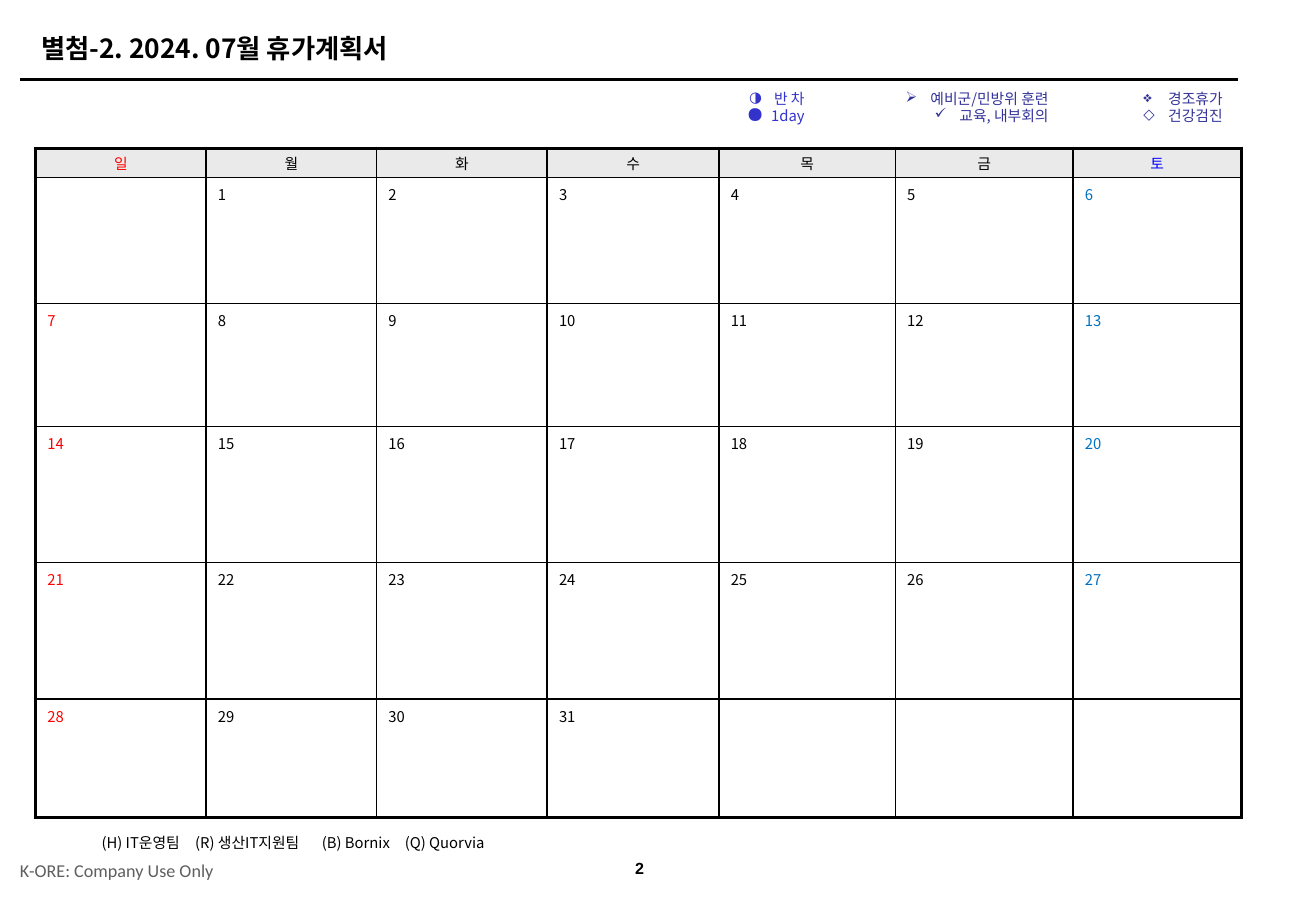
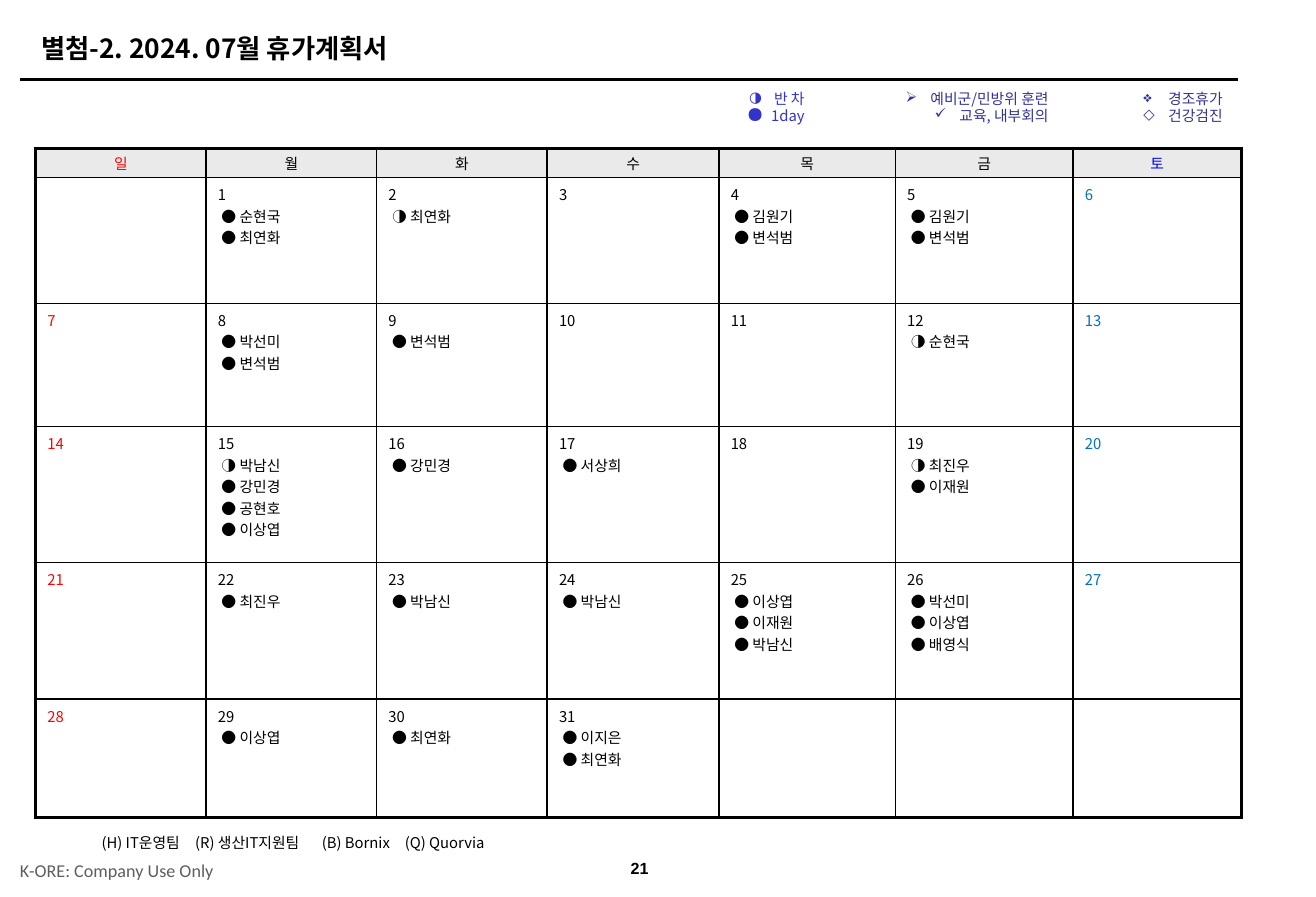
from lxml.etree import SubElement
from pptx import Presentation
from pptx.dml.color import RGBColor
from pptx.enum.shapes import MSO_CONNECTOR
from pptx.enum.text import MSO_ANCHOR, MSO_AUTO_SIZE, PP_ALIGN
from pptx.oxml import parse_xml
from pptx.oxml.ns import nsdecls, qn
from pptx.util import Inches, Pt

KOREAN = "Noto Sans CJK KR"
BLACK, RED, BLUE, GREY = "000000", "FF0000", "0070C0", "5F5F5F"
HEADER_FILL, HEADER_BLUE = "EAEAEA", "0000FF"

TITLE = "별첨-2. 2024. 07월 휴가계획서"
WEEKDAYS = "일월화수목금토"
COL_WIDTHS = [1.44, 1.44, 1.44, 1.45, 1.49, 1.5, 1.42]
ROW_HEIGHTS = [0.25, 1.06, 1.04, 1.15, 1.15, 1]
LAST_DAY = 31  # the month starts on a Monday, so day 0 is the empty Sunday

# left, width, colour, (bullet, bullet size in %, text)
LEGENDS = [
    (6.17, 0.72, "3333CC", [("◑", 100, "반 차"), ("●", 150, "1day")]),
    (7.41, 1.54, "333399", [("➢", 100, "예비군/민방위 훈련"), ("✓", 100, "교육, 내부회의")]),
    (8.59, 1.83, "333399", [("❖", 100, "경조휴가"), ("◇", 100, "건강검진")]),
]
TEAMS = "(H) IT운영팀\t(R) 생산IT지원팀\t(B) Bornix\t(Q) Quorvia"
TEAM_TABS = [0.79, 1.86, 2.56]

LEAVE = {
    1: ["● 순현국", "● 최연화"],
    2: ["◑ 최연화"],
    4: ["● 김원기", "● 변석범"],
    5: ["● 김원기", "● 변석범"],
    8: ["● 박선미", "● 변석범"],
    9: ["● 변석범"],
    12: ["◑ 순현국"],
    15: ["◑ 박남신", "● 강민경", "● 공현호", "● 이상엽"],
    16: ["● 강민경"],
    17: ["● 서상희"],
    19: ["◑ 최진우", "● 이재원"],
    22: ["● 최진우"],
    23: ["● 박남신"],
    24: ["● 박남신"],
    25: ["● 이상엽", "● 이재원", "● 박남신"],
    26: ["● 박선미", "● 이상엽", "● 배영식"],
    29: ["● 이상엽"],
    30: ["● 최연화"],
    31: ["● 이지은", "● 최연화"],
}
PAGES = [("2", {}), ("21", LEAVE)]


def write(tf, text, color=BLACK, size=9, font=KOREAN, bold=False,
          align=PP_ALIGN.LEFT, spacing=None):
    """Fill the first paragraph of an empty frame, or add one; return it."""
    p = tf.add_paragraph() if tf.text else tf.paragraphs[0]
    p.alignment = align
    if spacing:
        p.line_spacing = spacing
    r = p.add_run()
    r.text = text
    r.font.size, r.font.bold, r.font.name = Pt(size), bold, font
    r.font.color.rgb = RGBColor.from_string(color)
    SubElement(r.font._element, qn("a:ea"), typeface=font)
    return p


def text_box(s, x, y, w, h, anchor=MSO_ANCHOR.MIDDLE, wrap=True):
    tf = s.shapes.add_textbox(Inches(x), Inches(y), Inches(w), Inches(h)).text_frame
    tf.word_wrap, tf.vertical_anchor = wrap, anchor
    return tf


prs = Presentation()
prs.slide_width, prs.slide_height = Inches(11.11), Inches(7.57)

for number, leave in PAGES:
    s = prs.slides.add_slide(prs.slide_layouts[5])

    # Title and rule
    title = s.shapes.title
    title.left, title.top = Inches(0.25), Inches(0.22)
    title.width, title.height = Inches(9.9), Inches(0.37)
    title.text_frame.auto_size = MSO_AUTO_SIZE.NONE
    title.text_frame.vertical_anchor = MSO_ANCHOR.MIDDLE
    write(title.text_frame, TITLE, size=16, bold=True)
    rule = s.shapes.add_connector(MSO_CONNECTOR.STRAIGHT, Inches(0.17), Inches(0.67),
                                  Inches(10.45), Inches(0.67))
    rule.line.width = Pt(1.5)
    rule.line.color.rgb = RGBColor.from_string(BLACK)
    SubElement(rule._element.spPr, qn("a:effectLst"))

    # Legends
    for left, width, color, items in LEGENDS:
        tf = text_box(s, left, 0.72, width, 0.4, anchor=MSO_ANCHOR.TOP)
        for bullet, percent, text in items:
            p = write(tf, text, color, align=PP_ALIGN.RIGHT, spacing=0.95)
            pPr = p._p.get_or_add_pPr()
            pPr.set("marL", str(Inches(0.21)))
            pPr.set("indent", str(-Inches(0.21)))
            SubElement(SubElement(pPr, qn("a:buClr")), qn("a:srgbClr"), val=color)
            SubElement(pPr, qn("a:buSzPct"), val=str(percent * 1000))
            SubElement(pPr, qn("a:buChar"), char=bullet)

    # Calendar
    rows, cols = len(ROW_HEIGHTS), len(COL_WIDTHS)
    table = s.shapes.add_table(rows, cols, Inches(0.3), Inches(1.25),
                               Inches(sum(COL_WIDTHS)), Inches(sum(ROW_HEIGHTS))).table
    table.horz_banding = False
    for column, width in zip(table.columns, COL_WIDTHS):
        column.width = Inches(width)
    for row, height in zip(table.rows, ROW_HEIGHTS):
        row.height = Inches(height)
    for i in range(rows * cols):
        row, col = divmod(i, cols)
        cell = table.cell(row, col)
        tf = cell.text_frame
        cell.margin_left = cell.margin_right = Inches(0.1)
        if row == 0:
            cell.margin_top = cell.margin_bottom = Inches(0.02)
            cell.vertical_anchor = MSO_ANCHOR.MIDDLE
            cell.fill.solid()
            cell.fill.fore_color.rgb = RGBColor.from_string(HEADER_FILL)
            write(tf, WEEKDAYS[col], {0: RED, 6: HEADER_BLUE}.get(col, BLACK),
                  align=PP_ALIGN.CENTER)
        else:
            cell.margin_top = cell.margin_bottom = Inches(0.05)
            cell.fill.background()
            day = i - cols
            if 1 <= day <= LAST_DAY:
                write(tf, str(day), {0: RED, 6: BLUE}.get(col, BLACK))
            for entry in leave.get(day, []):
                p = write(tf, entry)
                p._p.get_or_add_pPr().set("marL", str(Inches(0.03)))
        outer = {"L": col == 0, "R": col == cols - 1, "T": row == 0, "B": row == rows - 1}
        for n, (side, is_outer) in enumerate(outer.items()):
            cell._tc.get_or_add_tcPr().insert(n, parse_xml(
                f'<a:ln{side} {nsdecls("a")} w="{Pt(2 if is_outer else 1)}"><a:solidFill>'
                f'<a:srgbClr val="{BLACK}"/></a:solidFill></a:ln{side}>'))

    # Teams and footer
    p = write(text_box(s, 0.76, 7, 3.5, 0.24, wrap=False), TEAMS, spacing=0.95)
    tabs = SubElement(p._p.get_or_add_pPr(), qn("a:tabLst"))
    for pos in TEAM_TABS:
        SubElement(tabs, qn("a:tab"), pos=str(Inches(pos)), algn="l")
    write(text_box(s, 5.13, 7.17, 0.54, 0.31), number, size=9.8, font="Arial",
          bold=True, align=PP_ALIGN.CENTER)
    write(text_box(s, 0.07, 7.19, 1.92, 0.31), "K-ORE: Company Use Only", GREY,
          size=11, font="Calibri")

prs.save("out.pptx")
